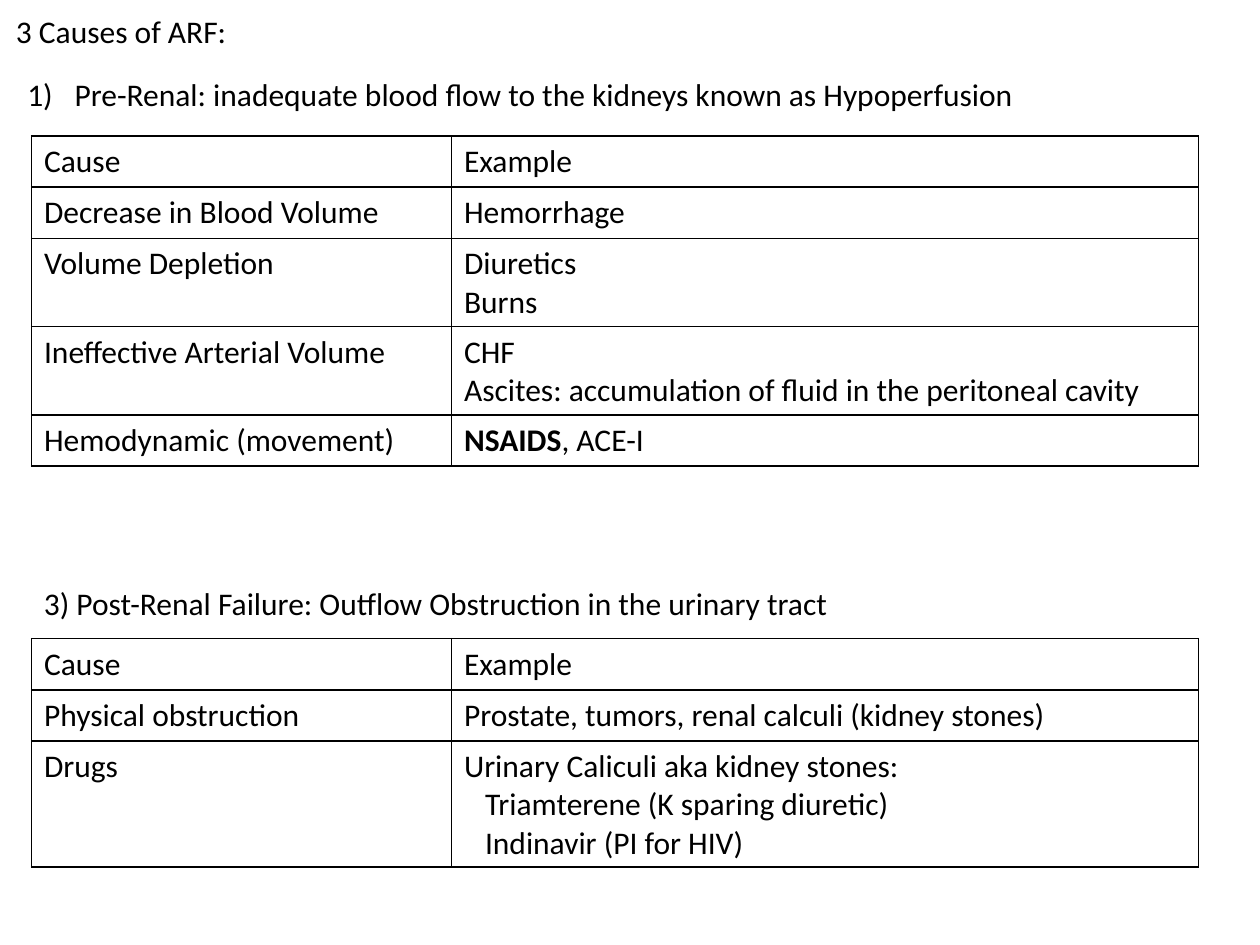
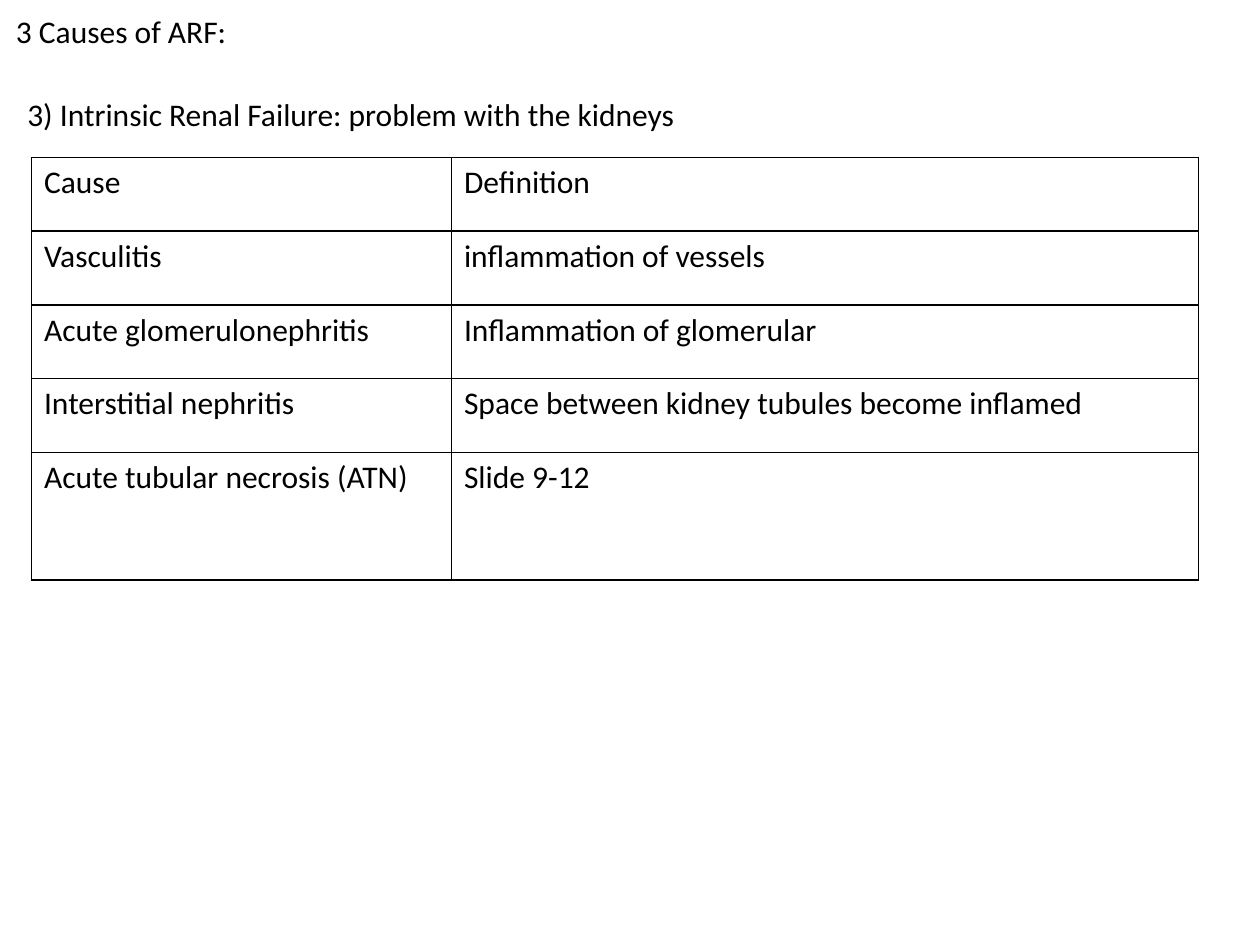
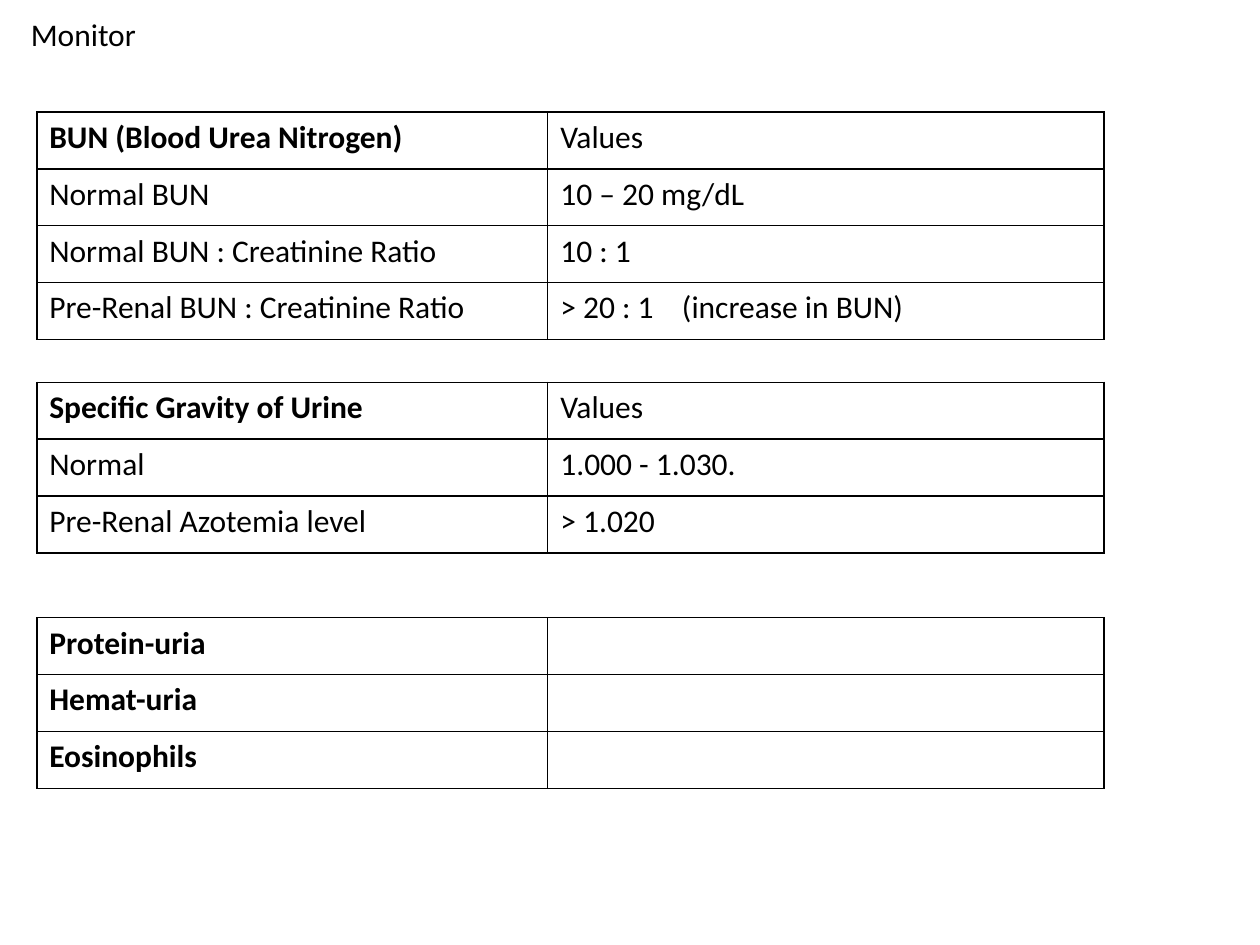
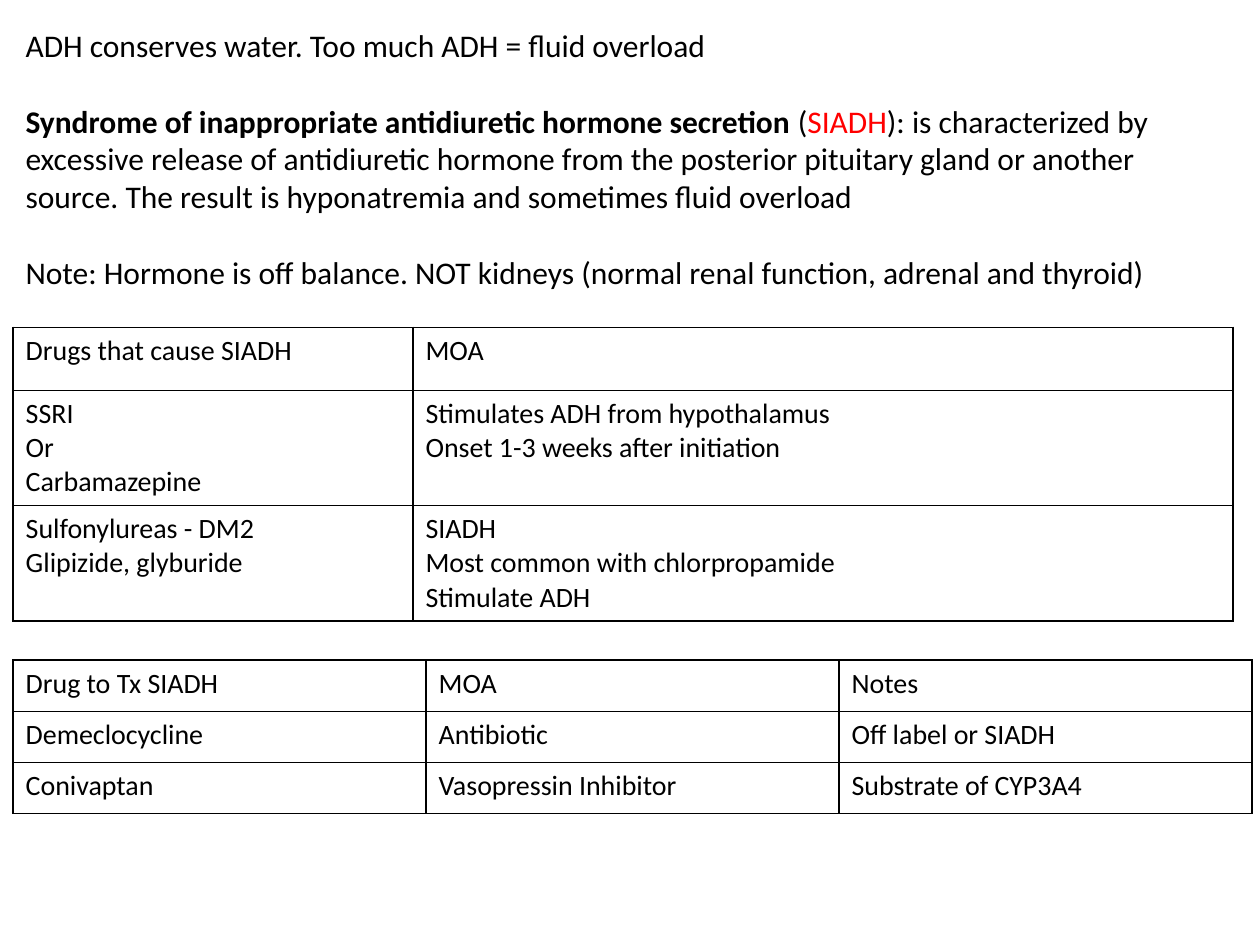
from collections import namedtuple

from lxml import etree
from pptx import Presentation
from pptx.dml.color import RGBColor
from pptx.enum.text import MSO_AUTO_SIZE
from pptx.oxml.ns import qn
from pptx.util import Pt

FIT_TEXT = MSO_AUTO_SIZE.SHAPE_TO_FIT_TEXT

BLACK = RGBColor(0x00, 0x00, 0x00)
RED = RGBColor(0xFF, 0x00, 0x00)
FONT = "Calibri"
BODY_SIZE = 18
SMALL_SIZE = 16
BORDER_WIDTH = 1
ROW = 29.25          # one-line row
TWO_LINE_ROW = 50.5
MONITOR_ROW = 32.5
CAUSE_COLUMNS = (240, 427)
MONITOR_COLUMNS = (292, 318)

Box = namedtuple("Box", "left top width height")
Span = namedtuple("Span", "text bold color", defaults=(False, BLACK))


def inside(box, left, top, width, height):
    """Return a box placed relative to another one."""
    return Box(box.left + left, box.top + top, width, height)


# Text
def write_lines(frame, lines, size=BODY_SIZE):
    """Fill a frame; a line is a string or a list of spans."""
    frame.text = "\n".join(line if isinstance(line, str) else "" for line in lines)
    for para, line in zip(frame.paragraphs, lines):
        spans = [Span(line)] if isinstance(line, str) else line
        if not isinstance(line, str):
            for span in spans:
                para.add_run().text = span.text
        for run, span in zip(para.runs, spans):
            run.font.name = FONT
            run.font.size = Pt(size)
            run.font.bold = span.bold
            run.font.color.rgb = span.color


def indent(para, left, first=0):
    properties = para._p.get_or_add_pPr()
    properties.set("marL", str(Pt(left)))
    properties.set("indent", str(Pt(first)))
    return properties


def number(para):
    properties = indent(para, 27, -27)
    etree.SubElement(properties, qn("a:buFont"), typeface="+mj-lt")
    etree.SubElement(properties, qn("a:buAutoNum"), type="arabicParenR")


def add_tab_stop(para, position):
    stops = etree.SubElement(para._p.get_or_add_pPr(), qn("a:tabLst"))
    etree.SubElement(stops, qn("a:tab"), pos=str(Pt(position)), algn="l")


def add_text(page, box, lines, wrap=True):
    shape = page.shapes.add_textbox(*(Pt(length) for length in box))
    frame = shape.text_frame
    frame.word_wrap = wrap
    frame.auto_size = FIT_TEXT
    write_lines(frame, lines)
    return frame


# Tables
def outline_cell(cell):
    properties = cell._tc.get_or_add_tcPr()
    for side in ("lnL", "lnR", "lnT", "lnB"):
        line = etree.SubElement(properties, qn("a:" + side), w=str(Pt(BORDER_WIDTH)))
        fill = etree.SubElement(line, qn("a:solidFill"))
        etree.SubElement(fill, qn("a:srgbClr"), val=str(BLACK))
    cell.fill.background()


def add_grid(page, box, columns, heights, rows, size=BODY_SIZE):
    """Add a ruled table; each cell is a string or a list of lines."""
    shape = page.shapes.add_table(
        len(rows), len(columns), *(Pt(length) for length in box))
    table = shape.table
    table.first_row = table.horz_banding = False
    for column, width in zip(table.columns, columns):
        column.width = Pt(width)
    for row, height, texts in zip(table.rows, heights, rows):
        row.height = Pt(height)
        for cell, text in zip(row.cells, texts):
            outline_cell(cell)
            if text:
                write_lines(cell.text_frame, [text] if isinstance(text, str) else text, size)
    return table


def place_grid(page, area, left, top, columns, heights, rows, size=BODY_SIZE):
    box = inside(area, left, top, sum(columns), sum(heights))
    return add_grid(page, box, columns, heights, rows, size)


# Slides
def add_causes_title(page, area):
    add_text(page, inside(area, 2, 3.5, 676, 29), ["3 Causes of ARF:"])


def build_pre_and_post_renal(page, area):
    add_causes_title(page, area)

    # Pre-renal causes
    heading = add_text(page, inside(area, 8.5, 39.5, 660, 51), [
        "Pre-Renal: inadequate blood flow to the kidneys known as Hypoperfusion"])
    number(heading.paragraphs[0])
    place_grid(page, area, 18, 77.75, CAUSE_COLUMNS,
               (ROW, ROW, TWO_LINE_ROW, TWO_LINE_ROW, ROW), [
        ("Cause", "Example"),
        ("Decrease in Blood Volume", "Hemorrhage"),
        ("Volume Depletion", ["Diuretics", "Burns"]),
        ("Ineffective Arterial Volume",
         ["CHF", "Ascites: accumulation of fluid in the peritoneal cavity"]),
        ("Hemodynamic (movement)", [[Span("NSAIDS", True), Span(", ACE-I")]]),
    ])

    # Post-renal causes
    drugs = ["Urinary Caliculi aka kidney stones:",
             "Triamterene (K sparing diuretic)",
             "Indinavir (PI for HIV)"]
    table = place_grid(page, area, 18, 365, CAUSE_COLUMNS, (ROW, ROW, 72), [
        ("Cause", "Example"),
        ("Physical obstruction", "Prostate, tumors, renal calculi (kidney stones)"),
        ("Drugs", drugs),
    ])
    for para in table.cell(2, 1).text_frame.paragraphs[1:]:
        indent(para, 12)
    add_text(page, inside(area, 18, 330, 474, 29), [
        "3) Post-Renal Failure: Outflow Obstruction in the urinary tract"], wrap=False)


def build_intrinsic(page, area):
    add_causes_title(page, area)
    add_text(page, inside(area, 8.5, 50.5, 660, 29), [
        "3) Intrinsic Renal Failure: problem with the kidneys"])
    place_grid(page, area, 18, 90, CAUSE_COLUMNS, [42.15] * 4 + [73], [
        ("Cause", "Definition"),
        ("Vasculitis", "inflammation of vessels"),
        ("Acute glomerulonephritis", "Inflammation of glomerular"),
        ("Interstitial nephritis", "Space between kidney tubules become inflamed"),
        ("Acute tubular necrosis (ATN)", "Slide 9-12"),
    ])


def add_monitor_grid(page, area, top, rows):
    return place_grid(page, area, 21, top, MONITOR_COLUMNS,
                      [MONITOR_ROW] * len(rows), rows)


def build_monitor(page, area):
    # Blood urea nitrogen
    table = add_monitor_grid(page, area, 64, [
        ([[Span("BUN (Blood Urea Nitrogen)", True)]], "Values"),
        ("Normal BUN", "10 – 20 mg/dL"),
        ("Normal BUN : Creatinine Ratio", "10 : 1"),
        ("Pre-Renal BUN : Creatinine Ratio", "> 20 : 1\t(increase in BUN)"),
    ])
    add_tab_stop(table.cell(3, 1).text_frame.paragraphs[0], 69.5)
    add_text(page, inside(area, 10.5, 5, 76, 29), ["Monitor"], wrap=False)

    # Specific gravity
    add_monitor_grid(page, area, 218.5, [
        ([[Span("Specific Gravity of Urine", True)]], "Values"),
        ("Normal", "1.000 - 1.030."),
        ("Pre-Renal Azotemia level", "> 1.020"),
    ])

    # Urine findings
    findings = ("Protein-uria", "Hemat-uria", "Eosinophils")
    add_monitor_grid(page, area, 353, [
        ([[Span(finding, True)]], "") for finding in findings])


def build_siadh(page, area):
    # Drugs that cause it
    place_grid(page, area, 7.5, 187, (228.5, 468.5), (36, 66, 66), [
        ("Drugs that cause SIADH", "MOA"),
        (["SSRI", "Or", "Carbamazepine"],
         ["Stimulates ADH from hypothalamus", "Onset 1-3 weeks after initiation"]),
        (["Sulfonylureas - DM2", "Glipizide, glyburide"],
         ["SIADH", "Most common with chlorpropamide", "Stimulate ADH"]),
    ], SMALL_SIZE)

    # Drugs that treat it
    place_grid(page, area, 7.5, 377.25, [236] * 3, [ROW] * 3, [
        ("Drug to Tx SIADH", "MOA", "Notes"),
        ("Demeclocycline", "Antibiotic", "Off label or SIADH"),
        ("Conivaptan", "Vasopressin Inhibitor", "Substrate of CYP3A4"),
    ], SMALL_SIZE)

    # Definition
    definition = [
        Span("Syndrome of inappropriate antidiuretic hormone secretion ", True),
        Span("("),
        Span("SIADH", color=RED),
        Span("): is characterized by excessive release of antidiuretic hormone from "
             "the posterior pituitary gland or another source. The result is "
             "hyponatremia and sometimes fluid overload"),
    ]
    frame = add_text(page, inside(area, 7.5, 11.5, 697, 160), [
        "ADH conserves water. Too much ADH = fluid overload",
        definition,
        "Note: Hormone is off balance. NOT kidneys "
        "(normal renal function, adrenal and thyroid)",
    ])
    for para in frame.paragraphs[1:]:
        para.space_before = Pt(21.5)


def main():
    deck = Presentation()
    deck.slide_width, deck.slide_height = Pt(720), Pt(540)
    area = Box(0, 0, 720, 540)
    blank = deck.slide_layouts[6]
    for build in (build_pre_and_post_renal, build_intrinsic, build_monitor, build_siadh):
        build(deck.slides.add_slide(blank), area)
    deck.save("out.pptx")


if __name__ == "__main__":
    main()
